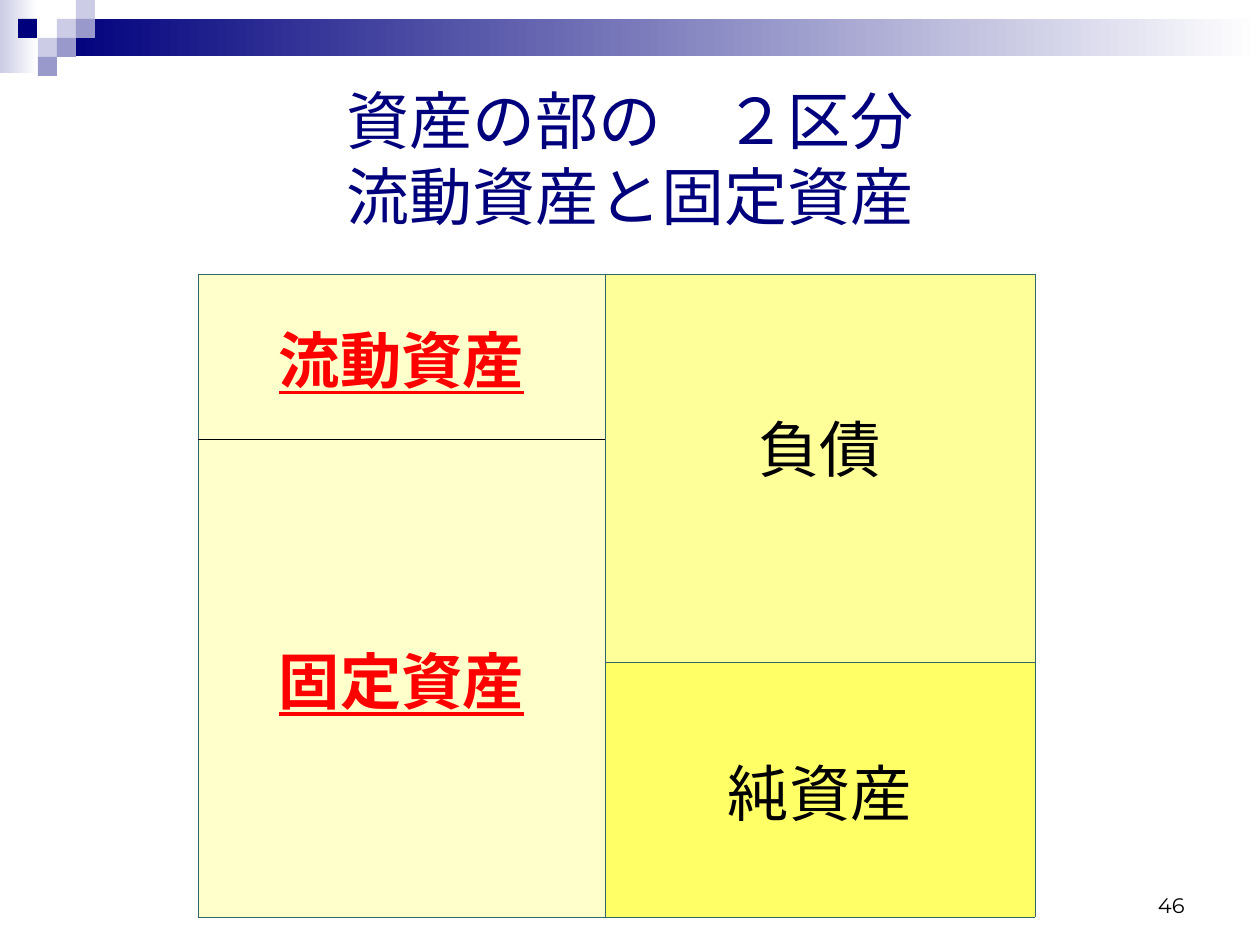
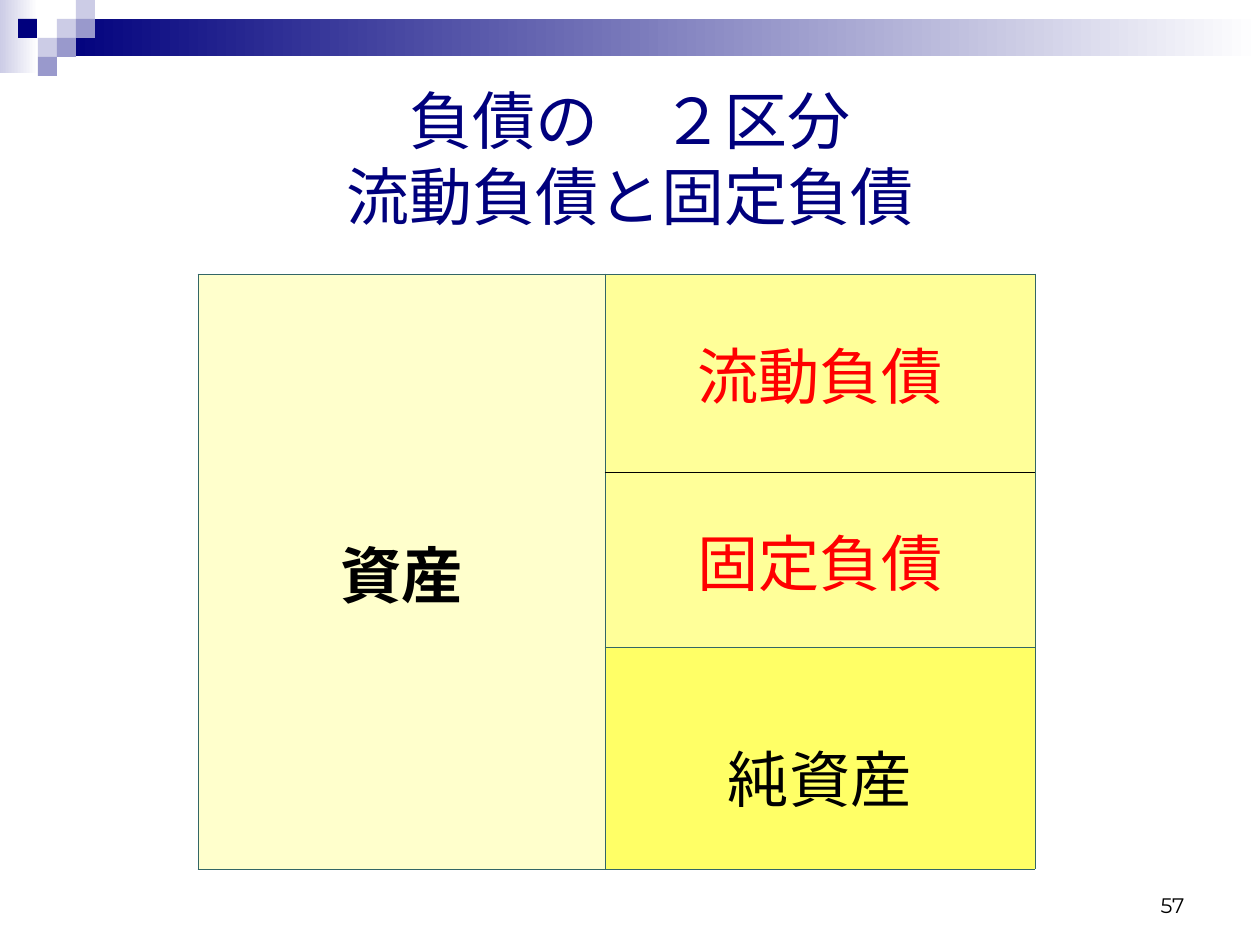
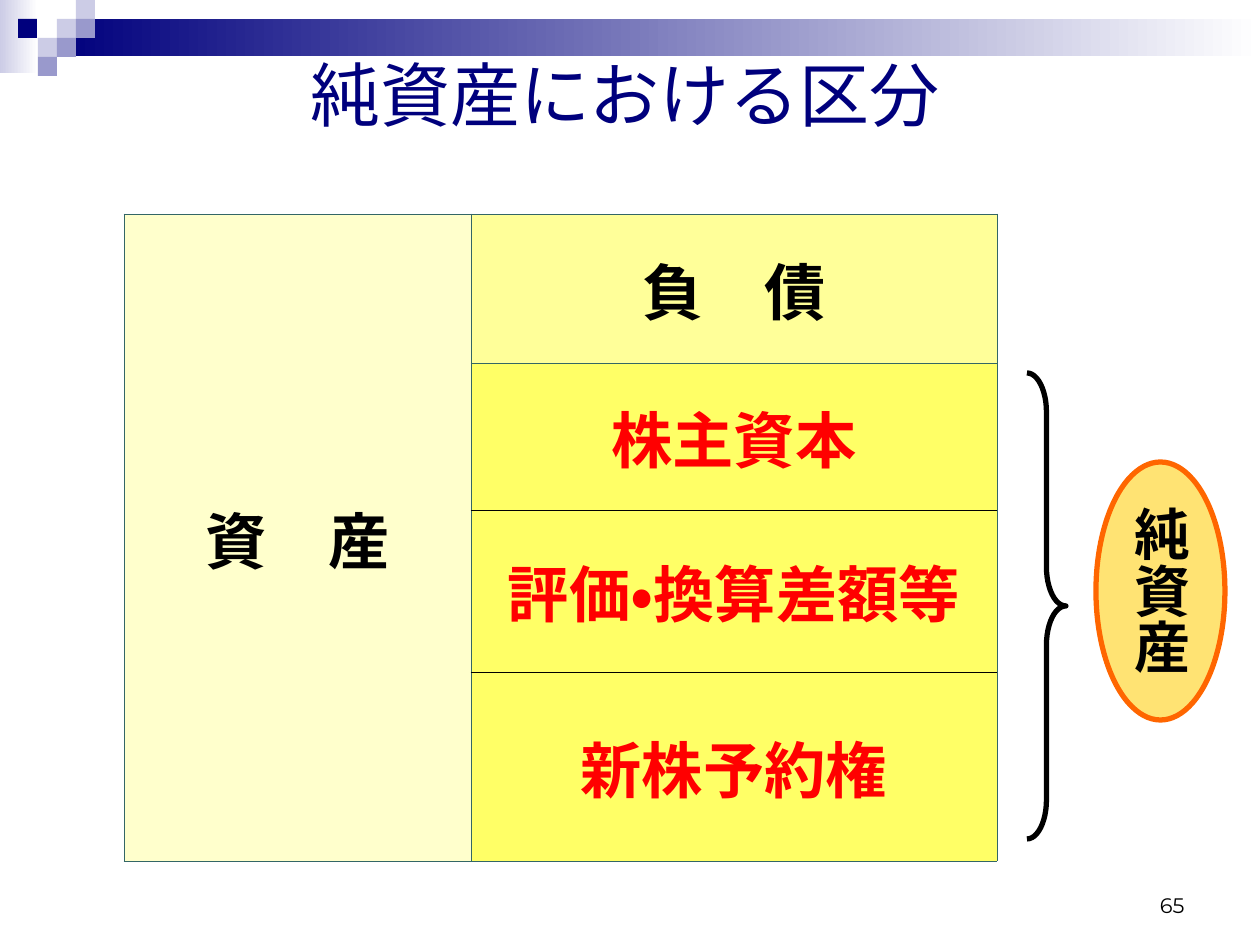
import lxml.etree
import pptx
import pptx.dml.color
import pptx.enum.lang
import pptx.enum.shapes
import pptx.enum.text
import pptx.oxml.ns
import pptx.util

RGBColor = pptx.dml.color.RGBColor
NAVY = RGBColor(0x00, 0x00, 0x7D)
LAVENDER = RGBColor(0xCC, 0xCC, 0xE6)
VIOLET = RGBColor(0x99, 0x99, 0xCC)
WHITE = RGBColor(0xFF, 0xFF, 0xFF)
BLACK = RGBColor(0x00, 0x00, 0x00)
RED = RGBColor(0xFF, 0x00, 0x00)
CREAM = RGBColor(0xFF, 0xFF, 0xCC)
PALE_YELLOW = RGBColor(0xFF, 0xFF, 0x99)
YELLOW = RGBColor(0xFF, 0xFF, 0x66)
GOLD = RGBColor(0xFF, 0xCC, 0x00)
ORANGE = RGBColor(0xFF, 0x66, 0x00)
TEAL = RGBColor(0x33, 0x66, 0x66)

EMU_PER_PX = 914400 / 126
SQUARE = 19
CELL_MARGIN = 6
CELL_SIZE = 35
BORDER_WIDTH = pptx.util.Pt(0.45)
SHAPE = pptx.enum.shapes.MSO_SHAPE
ANCHOR = pptx.enum.text.MSO_ANCHOR
ALIGN = pptx.enum.text.PP_ALIGN


def px(*lengths):
    return [pptx.util.Emu(round(length * EMU_PER_PX)) for length in lengths]


def write_text(text_frame, text, size, color, name="Arial", align=ALIGN.CENTER, bold=False, underline=False):
    paragraph = text_frame.paragraphs[0]
    paragraph.text = text
    paragraph.alignment = align
    for run in paragraph.runs:
        run.font.size = pptx.util.Pt(size)
        run.font.name = name
        run.font.color.rgb = color
        run.font.bold = bold
        run.font.underline = underline
        run.font.language_id = pptx.enum.lang.MSO_LANGUAGE_ID.JAPANESE


BANDS = [((0, 0, 38, 73), LAVENDER), ((57, 19, 1203, 37), NAVY)]
SQUARES = [
    (57, 19, LAVENDER), (76, 0, LAVENDER), (76, 19, VIOLET), (38, 38, LAVENDER),
    (18, 19, NAVY), (57, 38, VIOLET), (38, 57, VIOLET),
]

SLIDES = [
    {
        "title": "資産の部の　２区分\n流動資産と固定資産", "title_box": (63, 63, 1134, 189), "title_size": 36,
        "number": "46", "corner": (-30, 274), "columns": (228, 407, 430, 224), "rows": (165, 223, 255),
        "cells": [
            (1, 0, 0, "流動資産", CREAM, RED, True, True, 0),
            (1, 1, 2, "固定資産", CREAM, RED, True, True, 0),
            (2, 0, 1, "負債", PALE_YELLOW, BLACK, False, False, -22),
            (2, 2, 2, "純資産", YELLOW, BLACK, False, False, 0),
        ],
    },
    {
        "title": "負債の　２区分\n流動負債と固定負債", "title_box": (63, 63, 1134, 189), "title_size": 36,
        "number": "57", "corner": (-30, 274), "columns": (228, 407, 430, 224), "rows": (198, 175, 222),
        "cells": [
            (1, 0, 2, "資産", CREAM, BLACK, True, False, 0),
            (2, 0, 0, "流動負債", PALE_YELLOW, RED, False, False, 0),
            (2, 1, 1, "固定負債", PALE_YELLOW, RED, False, False, 0),
            (2, 2, 2, "純資産", YELLOW, BLACK, False, False, 18),
        ],
    },
    {
        "title": "純資産における区分", "title_box": (25, 15, 1200, 158), "title_size": 40,
        "number": "65", "corner": (54, 214), "columns": (70, 347, 526, 169), "rows": (149, 147, 162, 189),
        "cells": [
            (1, 0, 3, "資　産", CREAM, BLACK, True, False, 0),
            (2, 0, 0, "負　債", PALE_YELLOW, BLACK, True, False, 0),
            (2, 1, 1, "株主資本", YELLOW, RED, True, False, 0),
            (2, 2, 2, "評価・換算差額等", YELLOW, RED, True, False, 0),
            (2, 3, 3, "新株予約権", YELLOW, RED, True, False, 0),
        ],
    },
]

presentation = pptx.Presentation()
presentation.slide_width, presentation.slide_height = px(1260, 945)

for content in SLIDES:
    slide = presentation.slides.add_slide(presentation.slide_layouts[5])

    for box, start_color in BANDS:
        band = slide.shapes.add_shape(SHAPE.RECTANGLE, *px(*box))
        band.shadow.inherit = False
        band.line.fill.background()
        band.fill.gradient()
        band.fill.gradient_angle = 0
        for stop, color in zip(band.fill.gradient_stops, (start_color, WHITE)):
            stop.color.rgb = color
    for left, top, color in SQUARES:
        square = slide.shapes.add_shape(SHAPE.RECTANGLE, *px(left, top, SQUARE, SQUARE))
        square.shadow.inherit = False
        square.line.fill.background()
        square.fill.solid()
        square.fill.fore_color.rgb = color

    title = slide.shapes.title
    title.left, title.top, title.width, title.height = px(*content["title_box"])
    title.text_frame.vertical_anchor = ANCHOR.MIDDLE
    write_text(title.text_frame, content["title"], content["title_size"], NAVY)

    number = slide.shapes.add_textbox(*px(903, 861, 294, 63))
    number.text_frame.word_wrap = True
    number.text_frame.vertical_anchor = ANCHOR.BOTTOM
    write_text(number.text_frame, content["number"], 12, BLACK, "Montserrat", ALIGN.RIGHT)

    columns, rows = content["columns"], content["rows"]
    table = slide.shapes.add_table(
        len(rows), len(columns), *px(*content["corner"], sum(columns), sum(rows))).table
    table.first_row = table.horz_banding = False
    for column, width in zip(table.columns, px(*columns)):
        column.width = width
    for row, height in zip(table.rows, px(*rows)):
        row.height = height

    side_cells = [(column, 0, len(rows) - 1, "", None, BLACK, False, False, 0) for column in (0, 3)]
    cells = content["cells"] + side_cells
    fills = {(column, row): fill for column, first, last, text, fill, *style in cells
             for row in range(first, last + 1)}
    for column, first, last, text, fill, color, bold, underline, shift in cells:
        cell = table.cell(first, column)
        if last > first:
            cell.merge(table.cell(last, column))
        cell.vertical_anchor = ANCHOR.MIDDLE
        cell.margin_top, cell.margin_bottom = px(
            CELL_MARGIN + 2 * max(shift, 0), CELL_MARGIN + 2 * max(-shift, 0))
        write_text(cell.text_frame, text, CELL_SIZE, color, bold=bold, underline=underline)

        top_color, bottom_color = [
            None if fill is None else BLACK if fills.get((column, row)) == fill else TEAL
            for row in (first - 1, last + 1)]
        for row in range(first, last + 1):
            part = table.cell(row, column)
            sides = [("a:lnL", TEAL if column > 0 else None), ("a:lnR", TEAL if column < 3 else None)]
            if row == first:
                sides.append(("a:lnT", top_color))
            if row in (first, last):
                sides.append(("a:lnB", bottom_color))
            properties = part._tc.get_or_add_tcPr()
            for tag, side_color in sides:
                line = lxml.etree.SubElement(properties, pptx.oxml.ns.qn(tag), w=str(BORDER_WIDTH))
                if side_color is None:
                    lxml.etree.SubElement(line, pptx.oxml.ns.qn("a:noFill"))
                else:
                    solid = lxml.etree.SubElement(line, pptx.oxml.ns.qn("a:solidFill"))
                    lxml.etree.SubElement(solid, pptx.oxml.ns.qn("a:srgbClr"), val=str(side_color))
            if fill is None:
                part.fill.background()
            else:
                part.fill.solid()
                part.fill.fore_color.rgb = fill

brace = slide.shapes.add_shape(SHAPE.RIGHT_BRACE, *px(1027, 373, 39, 466))
brace.shadow.inherit = False
brace.adjustments[0] = 1
brace.fill.background()
brace.line.color.rgb = BLACK
brace.line.width = pptx.util.Pt(3)

net_assets = slide.shapes.add_shape(SHAPE.OVAL, *px(1096, 462, 129, 258))
net_assets.shadow.inherit = False
net_assets.fill.solid()
net_assets.fill.fore_color.rgb = GOLD
gold = net_assets.fill._xPr.find(".//" + pptx.oxml.ns.qn("a:srgbClr"))
lxml.etree.SubElement(gold, pptx.oxml.ns.qn("a:alpha"), val="55000")
net_assets.line.color.rgb = ORANGE
net_assets.line.width = pptx.util.Pt(3)
label = net_assets.text_frame
label.word_wrap = False
label.vertical_anchor = ANCHOR.MIDDLE
label.margin_left, label.margin_top, label.margin_right, label.margin_bottom = px(6, 7, 6, 19)
label._txBody.bodyPr.set("vert", "eaVert")
write_text(label, "純資産", 32, BLACK, bold=True)

presentation.save("out.pptx")
